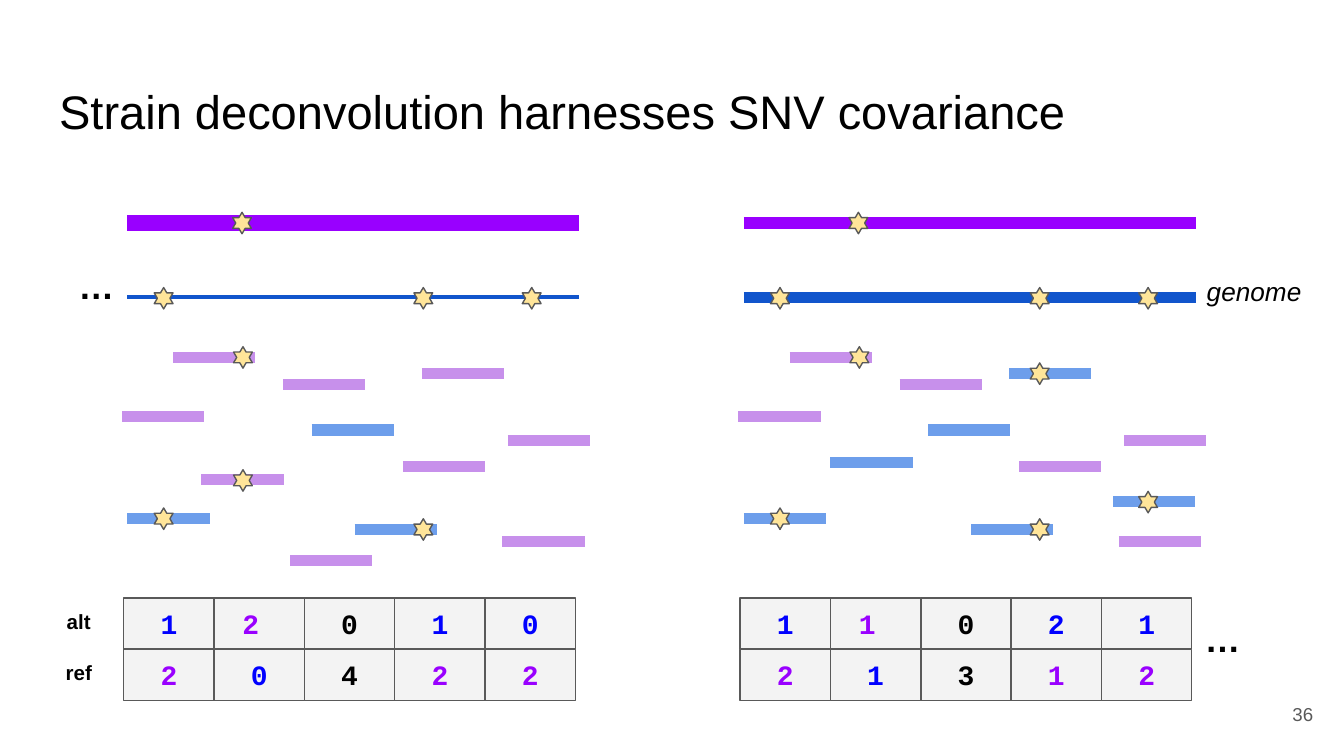
from pptx import Presentation
from pptx.dml.color import RGBColor
from pptx.enum.shapes import MSO_CONNECTOR, MSO_SHAPE
from pptx.enum.text import MSO_ANCHOR, MSO_AUTO_SIZE, PP_ALIGN
from pptx.oxml.ns import qn
from pptx.util import Pt

STRAIGHT = MSO_CONNECTOR.STRAIGHT
RECTANGLE, STAR = MSO_SHAPE.RECTANGLE, MSO_SHAPE.STAR_6_POINT
TOP, MIDDLE = MSO_ANCHOR.TOP, MSO_ANCHOR.MIDDLE
LEFT, CENTER, RIGHT = PP_ALIGN.LEFT, PP_ALIGN.CENTER, PP_ALIGN.RIGHT
NO_AUTOFIT = MSO_AUTO_SIZE.NONE

BLACK = RGBColor(0x00, 0x00, 0x00)
GREY = RGBColor(0x59, 0x59, 0x59)
PALE_GREY = RGBColor(0xF3, 0xF3, 0xF3)
YELLOW = RGBColor(0xFF, 0xE5, 0x99)
PURPLE = RGBColor(0x99, 0x00, 0xFF)
PALE_PURPLE = RGBColor(0xC7, 0x90, 0xEB)
BLUE = RGBColor(0x11, 0x55, 0xCC)
PALE_BLUE = RGBColor(0x6D, 0x9E, 0xEB)
COUNT_BLUE = RGBColor(0x00, 0x00, 0xFF)
COUNT_COLORS = {"p": PURPLE, "b": COUNT_BLUE, "k": BLACK}

GENOME_LENGTH, READ_LENGTH = 242, 44
PURPLE_Y, BLUE_Y = 119.5, 159.3
STAR_WIDTH, STAR_HEIGHT = 10.1, 11.5
CELL_WIDTH, CELL_HEIGHT, TABLE_TOP = 48.4, 27.4, 320.4

# Reads and variants as (x from the panel's left edge, y)
SHARED_PURPLE_READS = [(203.8, 236.2), (200.9, 290.2), (24.5, 191.5),
                       (83.5, 205.9), (147.6, 249.8), (-2.9, 223.2)]
SHARED_BLUE_READS = [(98.7, 230.4), (0, 277.9), (121.7, 283.7)]
SHARED_STARS = [(61.4, PURPLE_Y), (19.4, BLUE_Y + 0.5), (158.5, BLUE_Y + 0.5),
                (216.6, BLUE_Y + 0.5), (61.9, 191.5), (19.4, 277.9), (158.5, 283.7)]

# Each count is its text and a letter for its colour
PANELS = [
    {"left": 68.3, "purple_width": 9, "blue_width": 2.25,
     "purple_reads": [(157.7, 200.2), (39.6, 257), (87.1, 300.2)],
     "blue_reads": [],
     "stars": [(61.9, 257.4)],
     "counts": [[("1", "b"), ("2 ", "p"), ("0", "k"), ("1", "b"), ("0", "b")],
                [("2", "p"), ("0", "b"), ("4", "k"), ("2", "p"), ("2", "p")]]},
    {"left": 398.5, "purple_width": 6, "blue_width": 6,
     "purple_reads": [],
     "blue_reads": [(197.8, 268.6), (142.2, 200.2), (46.4, 247.7)],
     "stars": [(216.6, 269), (158.5, 200.2)],
     "counts": [[("1", "b"), ("1 ", "p"), ("0", "k"), ("2", "b"), ("1", "b")],
                [("2", "p"), ("1", "b"), ("3", "k"), ("1", "p"), ("2", "p")]]},
]

deck = Presentation()
deck.slide_width, deck.slide_height = Pt(720), Pt(405)
page = deck.slides.add_slide(deck.slide_layouts[5])


def add_bar(x, y, length, color, width):
    bar = page.shapes.add_connector(STRAIGHT, Pt(x), Pt(y), Pt(x + length), Pt(y))
    bar.line.color.rgb = color
    bar.line.width = Pt(width)
    properties = bar._element.spPr
    properties.append(properties.makeelement(qn("a:effectLst"), {}))


def write(box, text, size, color, align, anchor, font_name="Arial", bold=False, italic=False):
    frame = box.text_frame
    frame.word_wrap = True
    frame.auto_size = NO_AUTOFIT
    frame.vertical_anchor = anchor
    frame.margin_left = frame.margin_right = Pt(7.2)
    frame.margin_top = frame.margin_bottom = Pt(7.2)
    para = frame.paragraphs[0]
    para.text = text
    para.alignment = align
    font = para.font
    font.name, font.size = font_name, Pt(size)
    font.bold, font.italic = bold, italic
    font.color.rgb = color


# Title
title = page.shapes.title
title.left, title.top, title.width, title.height = Pt(24.5), Pt(35), Pt(671), Pt(45.4)
write(title, "Strain deconvolution harnesses SNV covariance", 25.2, BLACK, LEFT, TOP)
title.text_frame.margin_top = Pt(9)

for panel in PANELS:
    left = panel["left"]

    # Genomes, thicker where the strain is more abundant
    add_bar(left, PURPLE_Y, GENOME_LENGTH, PURPLE, panel["purple_width"])
    add_bar(left, BLUE_Y, GENOME_LENGTH, BLUE, panel["blue_width"])

    # Reads
    for reads, color in [(SHARED_PURPLE_READS + panel["purple_reads"], PALE_PURPLE),
                         (SHARED_BLUE_READS + panel["blue_reads"], PALE_BLUE)]:
        for x, y in reads:
            add_bar(left + x, y, READ_LENGTH, color, 6)

    # Variants
    for x, y in SHARED_STARS + panel["stars"]:
        star = page.shapes.add_shape(STAR, Pt(left + x - STAR_WIDTH / 2), Pt(y - STAR_HEIGHT / 2),
                                     Pt(STAR_WIDTH), Pt(STAR_HEIGHT))
        star.shadow.inherit = False
        star.fill.solid()
        star.fill.fore_color.rgb = YELLOW
        star.line.color.rgb = GREY
        star.line.width = Pt(0.75)

    # Grid of allele counts
    grid = page.shapes.add_group_shape()
    for row, counts in enumerate(panel["counts"]):
        for column, (count, color_key) in enumerate(counts):
            cell = grid.shapes.add_shape(
                RECTANGLE, Pt(left - 2 + column * CELL_WIDTH), Pt(TABLE_TOP + row * CELL_HEIGHT),
                Pt(CELL_WIDTH), Pt(CELL_HEIGHT))
            cell.shadow.inherit = False
            cell.fill.solid()
            cell.fill.fore_color.rgb = PALE_GREY
            cell.line.color.rgb = GREY
            cell.line.width = Pt(0.75)
            write(cell, count, 15, COUNT_COLORS[color_key], CENTER, MIDDLE, "Courier New", bold=True)

# Labels
for text, x, y, size in [("alt", 18, 319, 11), ("ref", 18, 346.4, 11),
                         ("…", 27.4, 139, 19), ("…", 630.7, 328.3, 19)]:
    label = page.shapes.add_textbox(Pt(x), Pt(y), Pt(CELL_WIDTH), Pt(CELL_HEIGHT))
    write(label, text, size, BLACK, CENTER, MIDDLE, bold=True)

genome_label = page.shapes.add_textbox(Pt(639.4), Pt(140.4), Pt(90.7), Pt(31.7))
write(genome_label, "genome", 14, BLACK, LEFT, TOP, italic=True)

# Page number
page_number = page.shapes.add_textbox(Pt(667.4), Pt(367.2), Pt(43.2), Pt(31))
write(page_number, "36", 10, GREY, RIGHT, MIDDLE)

deck.save("out.pptx")
